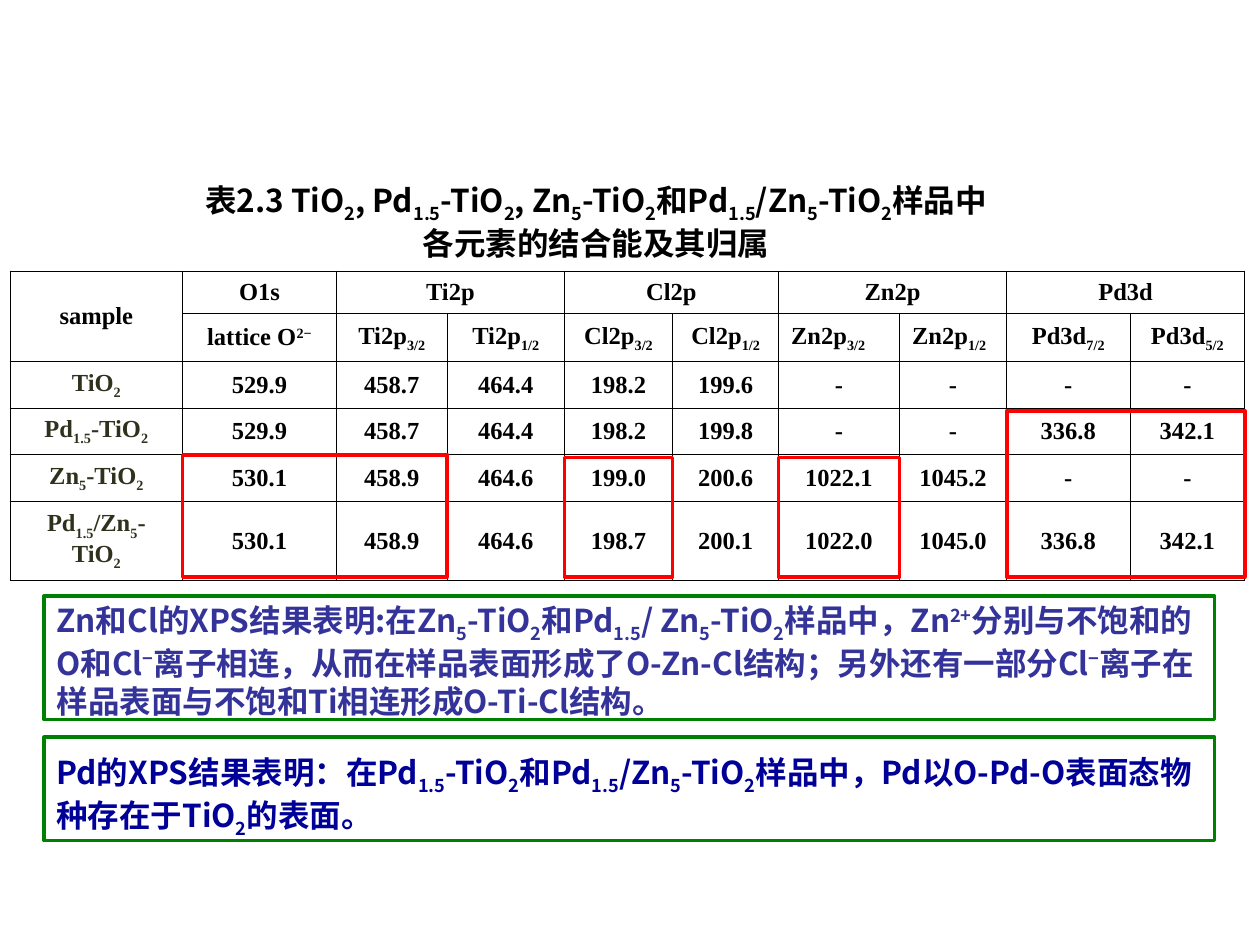
from itertools import accumulate

from lxml.etree import SubElement
from pptx import Presentation
from pptx.dml.color import RGBColor
from pptx.enum.shapes import MSO_SHAPE
from pptx.enum.text import MSO_ANCHOR, MSO_AUTO_SIZE, PP_ALIGN
from pptx.oxml import parse_xml
from pptx.oxml.ns import nsdecls, qn
from pptx.util import Inches, Pt

# Content: [_x] is a subscript, [^x] a superscript
TITLE = ("表2.3 TiO[_2], Pd[_1.5]-TiO[_2], Zn[_5]-TiO[_2]和"
         "Pd[_1.5]/Zn[_5]-TiO[_2]样品中各元素的结合能及其归属")
ZN_CL_NOTE = ("Zn和Cl的XPS结果表明:在Zn[_5]-TiO[_2]和Pd[_1.5]/ Zn[_5]-TiO[_2]样品中，"
              "Zn[^2+]分别与不饱和的O和Cl[^−]离子相连，从而在样品表面形成了O-Zn-Cl结构；"
              "另外还有一部分Cl[^−]离子在样品表面与不饱和Ti相连形成O-Ti-Cl结构。")
PD_NOTE = ("Pd的XPS结果表明：在Pd[_1.5]-TiO[_2]和Pd[_1.5]/Zn[_5]-TiO[_2]样品中，"
           "Pd以O-Pd-O表面态物种存在于TiO[_2]的表面。")
ROWS = [
    ["sample", "O1s", "Ti2p", "", "Cl2p", "", "Zn2p", "", "Pd3d", ""],
    ["", "lattice O[^2−]", "Ti2p[_3/2]", "Ti2p[_1/2]", "Cl2p[_3/2]", "Cl2p[_1/2]",
     "Zn2p[_3/2]", "Zn2p[_1/2]", "Pd3d[_7/2]", "Pd3d[_5/2]"],
    ["TiO[_2]", "529.9", "458.7", "464.4", "198.2", "199.6", "-", "-", "-", "-"],
    ["Pd[_1.5]-TiO[_2]", "529.9", "458.7", "464.4", "198.2", "199.8",
     "-", "-", "336.8", "342.1"],
    ["Zn[_5]-TiO[_2]", "530.1", "458.9", "464.6", "199.0", "200.6",
     "1022.1", "1045.2", "-", "-"],
    ["Pd[_1.5]/Zn[_5]-TiO[_2]", "530.1", "458.9", "464.6", "198.7", "200.1",
     "1022.0", "1045.0", "336.8", "342.1"],
]
HEADER_ROWS = 2
MERGES = [((0, 0), (1, 0))] + [((0, c), (0, c + 1)) for c in (2, 4, 6, 8)]
LEFT_ALIGNED = {(1, 6), (1, 7)}
# Highlights: first row, first column, last column, gap above
HIGHLIGHTS = [(4, 6, 6, 0.02), (4, 4, 4, 0.02), (4, 1, 2, 0), (3, 8, 9, 0.02)]

# Layout in inches
TABLE_LEFT, TABLE_TOP = 0.08, 2.15
COLUMNS = [1.37, 1.22, 0.88, 0.93, 0.86, 0.84, 0.96, 0.85, 0.98, 0.91]
HEIGHTS = [0.34, 0.38, 0.37, 0.37, 0.37, 0.63]
HIGHLIGHT_BOTTOM = 4.58
TITLE_BOX = (1.46, 1.39, 6.54, 0.78)
NOTES = [  # text, colour key, text box, frame
    (ZN_CL_NOTE, "zn_note", (0.35, 4.72, 9.29, 1.04), (0.35, 4.73, 9.29, 0.98)),
    (PD_NOTE, "pd_note", (0.35, 5.93, 9.37, 0.78), (0.35, 5.85, 9.29, 0.82)),
]

THEME = {
    "text": "000000", "sample": "30311D", "zn_note": "333399", "pd_note": "000099",
    "frame": "008000", "highlight": "FF0000", "cell": "FFFFFF", "border": "000000",
    "heading_font": "Noto Sans CJK SC", "table_font": "Times New Roman",
    "heading_size": 18, "table_size": 14, "border_width": 0.45, "frame_width": 2,
}
BASELINES = {"_": -25000, "^": 30000}


def apply(target, values):
    for name, value in values.items():
        setattr(target, name, value)


def write(text_frame, text, colour, kind, align):
    apply(text_frame, {"word_wrap": True, "margin_left": Inches(0.1),
                       "margin_right": Inches(0.1), "margin_top": Inches(0.05),
                       "margin_bottom": Inches(0.05)})
    paragraph = text_frame.paragraphs[0]
    paragraph.alignment = align
    for piece in text.replace("]", "[").split("["):
        if not piece:
            continue
        shift = BASELINES.get(piece[0])
        run = paragraph.add_run()
        run.text = piece[1:] if shift else piece
        apply(run.font, {"name": THEME[kind + "_font"], "bold": True,
                         "size": Pt(THEME[kind + "_size"])})
        run.font.color.rgb = RGBColor.from_string(THEME[colour])
        properties = run._r.get_or_add_rPr()
        SubElement(properties, qn("a:ea")).set("typeface", THEME[kind + "_font"])
        if shift:
            properties.set("baseline", str(shift))


def add_frame(slide, box, colour):
    frame = slide.shapes.add_shape(MSO_SHAPE.RECTANGLE, *map(Inches, box))
    frame.shadow.inherit = False
    frame.fill.background()
    frame.line.color.rgb = RGBColor.from_string(THEME[colour])
    frame.line.width = Pt(THEME["frame_width"])


def style_cell(cell):
    cell.vertical_anchor = MSO_ANCHOR.MIDDLE
    cell.fill.solid()
    cell.fill.fore_color.rgb = RGBColor.from_string(THEME["cell"])
    for position, side in enumerate("LRTB"):
        cell._tc.get_or_add_tcPr().insert(position, parse_xml(
            f'<a:ln{side} {nsdecls("a")} w="{Pt(THEME["border_width"])}"><a:solidFill>'
            f'<a:srgbClr val="{THEME["border"]}"/></a:solidFill></a:ln{side}>'))


def add_energy_table(slide):
    table = slide.shapes.add_table(
        len(ROWS), len(COLUMNS), Inches(TABLE_LEFT), Inches(TABLE_TOP),
        Inches(sum(COLUMNS)), Inches(sum(HEIGHTS))).table
    apply(table, {"first_row": False, "horz_banding": False})
    for column, width in zip(table.columns, COLUMNS):
        column.width = Inches(width)
    for row, height in zip(table.rows, HEIGHTS):
        row.height = Inches(height)
    for first, last in MERGES:
        table.cell(*first).merge(table.cell(*last))
    for r, row in enumerate(ROWS):
        for c, text in enumerate(row):
            cell = table.cell(r, c)
            style_cell(cell)
            colour = "sample" if c == 0 and r >= HEADER_ROWS else "text"
            align = PP_ALIGN.LEFT if (r, c) in LEFT_ALIGNED else PP_ALIGN.CENTER
            if text:
                write(cell.text_frame, text, colour, "table", align)


def main():
    deck = Presentation()
    apply(deck, {"slide_width": Inches(10), "slide_height": Inches(7.5)})
    slide = deck.slides.add_slide(deck.slide_layouts[5])

    # Table caption
    title = slide.shapes.title
    apply(title, dict(zip(("left", "top", "width", "height"), map(Inches, TITLE_BOX))))
    apply(title.text_frame, {"auto_size": MSO_AUTO_SIZE.NONE,
                             "vertical_anchor": MSO_ANCHOR.TOP})
    write(title.text_frame, TITLE, "text", "heading", PP_ALIGN.CENTER)

    # Binding energies
    add_energy_table(slide)

    # Conclusions in green frames
    for text, colour, box, frame in NOTES:
        add_frame(slide, frame, "frame")
        note = slide.shapes.add_textbox(*map(Inches, box))
        write(note.text_frame, text, colour, "heading", PP_ALIGN.LEFT)

    # Red highlights on the table grid
    x = list(accumulate(COLUMNS, initial=TABLE_LEFT))
    y = list(accumulate(HEIGHTS, initial=TABLE_TOP))
    for row, first, last, gap in HIGHLIGHTS:
        top = y[row] + gap
        add_frame(slide, (x[first], top, x[last + 1] - x[first],
                          HIGHLIGHT_BOTTOM - top), "highlight")

    deck.save("out.pptx")


if __name__ == "__main__":
    main()
